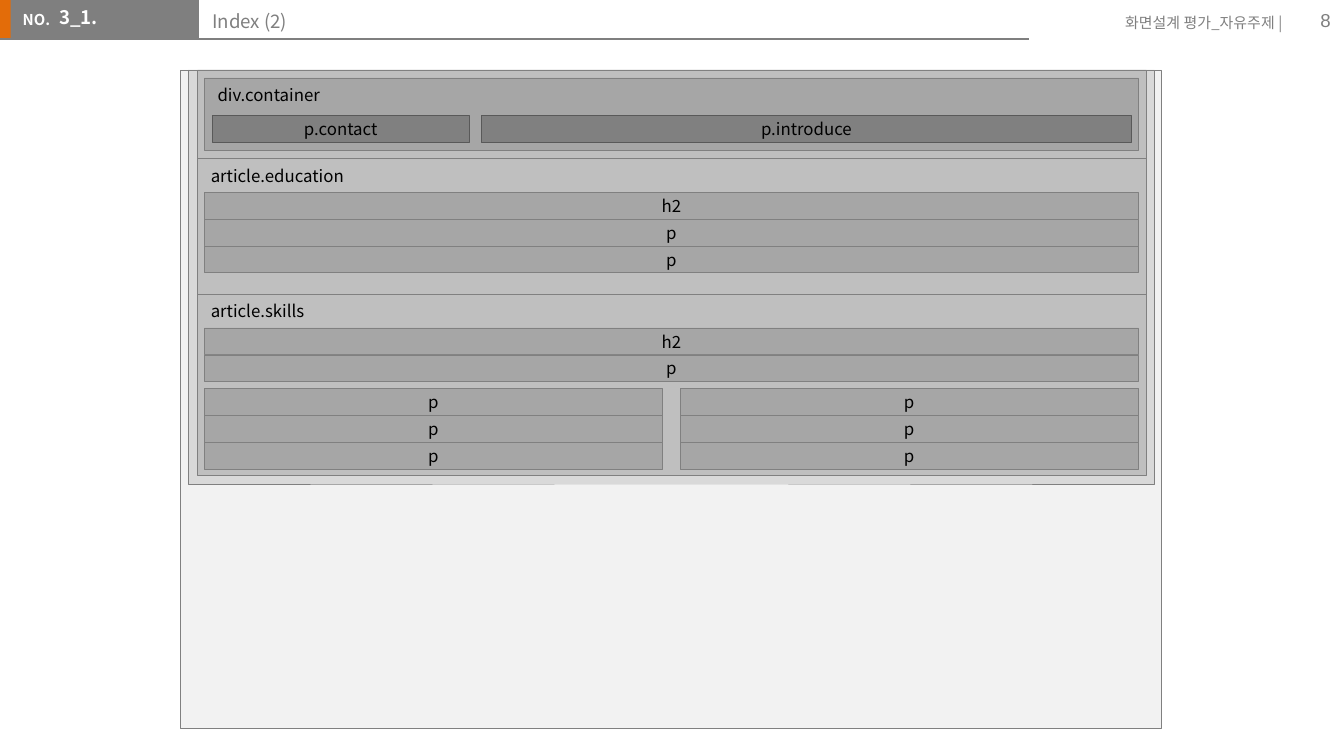
"""Builds the Index (2) wireframe slide."""
import pptx
import pptx.util
import pptx.dml.color
import pptx.enum.shapes
import pptx.enum.text
import pptx.oxml
import pptx.oxml.ns

Inches = pptx.util.Inches
Pt = pptx.util.Pt
ALIGN = pptx.enum.text.PP_ALIGN
ANCHOR = pptx.enum.text.MSO_ANCHOR
COLORS = {
    "accent": "E36C09", "header": "7F7F7F", "white": "FFFFFF", "black": "000000",
    "page": "F2F2F2", "section": "D9D9D9", "article": "BFBFBF",
    "block": "A6A6A6", "dark": "808080", "outline": "808080", "dark_outline": "595959",
}
FONT = "Noto Sans CJK KR"
ROW = 0.2


def rgb(name):
    """Return the named colour."""
    return pptx.dml.color.RGBColor.from_string(COLORS[name])


def place(shape, box):
    """Move a shape to a box given in inches."""
    for name, value in zip(("left", "top", "width", "height"), box):
        setattr(shape, name, Inches(value))


def write(shape, text, size=9, color="black", bold=False, font=FONT, frame=None, paragraph=None):
    """Fill a shape with one formatted paragraph."""
    text_frame = shape.text_frame
    frame_format = {"word_wrap": True, "auto_size": pptx.enum.text.MSO_AUTO_SIZE.NONE,
                    "vertical_anchor": ANCHOR.TOP, **(frame or {})}
    for name, value in frame_format.items():
        setattr(text_frame, name, value)
    first = text_frame.paragraphs[0]
    for name, value in {"alignment": ALIGN.LEFT, **(paragraph or {})}.items():
        setattr(first, name, value)
    run = first.add_run()
    run.text = text
    for name, value in {"size": Pt(size), "bold": bold, "name": font}.items():
        setattr(run.font, name, value)
    run.font.color.rgb = rgb(color)
    namespace = pptx.oxml.ns.nsdecls("a")
    run.font._element.append(pptx.oxml.parse_xml(f'<a:ea {namespace} typeface="{font}"/>'))


def add_box(slide, box, fill, outline="outline", text="", centered=True):
    """Add a filled rectangle with an optional outline and label."""
    shape = slide.shapes.add_shape(pptx.enum.shapes.MSO_SHAPE.RECTANGLE, *map(Inches, box))
    shape.shadow.inherit = False
    shape.fill.solid()
    shape.fill.fore_color.rgb = rgb(fill)
    if outline:
        shape.line.color.rgb = rgb(outline)
        shape.line.width = Pt(0.25)
    else:
        shape.line.fill.background()
    if text:
        anchor, alignment = (ANCHOR.MIDDLE, ALIGN.CENTER) if centered else (ANCHOR.TOP, ALIGN.LEFT)
        write(shape, text, frame={"vertical_anchor": anchor}, paragraph={"alignment": alignment})


def add_label(slide, box, text, **formats):
    """Add a text box."""
    write(slide.shapes.add_textbox(*map(Inches, box)), text, **formats)


def add_header(slide, box):
    """Add the header band with its number, title and page number."""
    left, top, width, height = box
    add_box(slide, (left - 0.01, top, 0.12, height), "accent", None)
    add_box(slide, (left + 0.08, top, 1.4, height), "header", None)
    add_label(slide, (left + 0.07, top + 0.03, 0.41, 0.24), "NO.", size=8, color="white", bold=True)
    rule = slide.shapes.add_connector(
        pptx.enum.shapes.MSO_CONNECTOR.STRAIGHT, Inches(left), Inches(top + height),
        Inches(left + 7.66), Inches(top + height))
    rule.line.color.rgb = rgb("header")
    rule.line.width = Pt(0.75)
    rule._element.spPr.append(
        pptx.oxml.parse_xml(f'<a:effectLst {pptx.oxml.ns.nsdecls("a")}/>'))
    right = {"alignment": ALIGN.RIGHT}
    add_label(slide, (left + width - 2, top + 0.05, 1.64, 0.24), "화면설계 평가_자유주제 |",
              size=8, color="header", paragraph=right)
    add_label(slide, (left + width - 0.6, top, 0.6, 0.3), "8", size=10, color="header",
              font="Arial", frame={"vertical_anchor": ANCHOR.MIDDLE}, paragraph=right)

    margins = {f"margin_{side}": Inches(0.1) for side in ("left", "top", "right", "bottom")}
    title, number = slide.placeholders
    place(title, (left + 1.48, top - 0.03, 6.14, 0.32))
    write(title, "Index (2)", size=10, color="header", frame=margins)
    place(number, (left + 0.09, top - 0.06, 1.1, 0.31))
    write(number, "3_1.", size=10, color="white", bold=True, frame=margins,
          paragraph={"space_before": Pt(2)})
    properties = number.text_frame.paragraphs[0]._p.get_or_add_pPr()
    properties.set("marL", str(Inches(0.5)))
    properties.set("indent", str(Inches(-0.25)))
    properties.append(pptx.oxml.parse_xml(f'<a:buNone {pptx.oxml.ns.nsdecls("a")}/>'))


def add_rows(slide, left, top, width, labels):
    """Stack labelled rows downwards."""
    for index, label in enumerate(labels):
        add_box(slide, (left, top + index * ROW, width, ROW), "block", text=label)


def add_container(slide, box):
    """Add the container article with its two paragraphs."""
    left, top, width, height = box
    add_box(slide, box, "article")
    add_box(slide, (left + 0.05, top + 0.06, width - 0.11, 0.54), "block",
            text="div.container", centered=False)
    for offset, part_width, label in ((0.11, 1.91, "p.contact"), (2.11, 4.84, "p.introduce")):
        add_box(slide, (left + offset, top + 0.34, part_width, ROW), "dark", "dark_outline", label)


def add_article(slide, box, name, labels):
    """Add an article with a name and full-width rows."""
    left, top, width, height = box
    add_box(slide, box, "article", text=name, centered=False)
    add_rows(slide, left + 0.05, top + 0.25, width - 0.11, labels)


def add_wireframe(slide, box):
    """Add the nested page, section and articles."""
    left, top, width, height = box
    add_box(slide, box, "page")
    add_box(slide, (left + 0.06, top, width - 0.11, 3.08), "section")
    inner, inner_width = left + 0.13, width - 0.24
    add_container(slide, (inner, top, inner_width, 0.66))
    add_article(slide, (inner, top + 0.66, inner_width, 1.01), "article.education", ("h2", "p", "p"))
    add_article(slide, (inner, top + 1.67, inner_width, 1.35), "article.skills", ("h2", "p"))
    for column in range(2):
        add_rows(slide, inner + 0.05 + column * 3.54, top + 2.37, 3.41, ("p",) * 3)


def main():
    """Build and save the presentation."""
    presentation = pptx.Presentation()
    presentation.slide_width = Inches(10)
    presentation.slide_height = Inches(10 * 9 / 16)
    slide = presentation.slides.add_slide(presentation.slide_layouts[1])
    placeholders = [shape._element for shape in slide.placeholders]
    add_header(slide, (0, 0, 10, 0.29))
    for element in placeholders:
        slide.shapes._spTree.append(element)
    add_wireframe(slide, (1.34, 0.52, 7.3, 4.9))
    presentation.save("out.pptx")


main()
